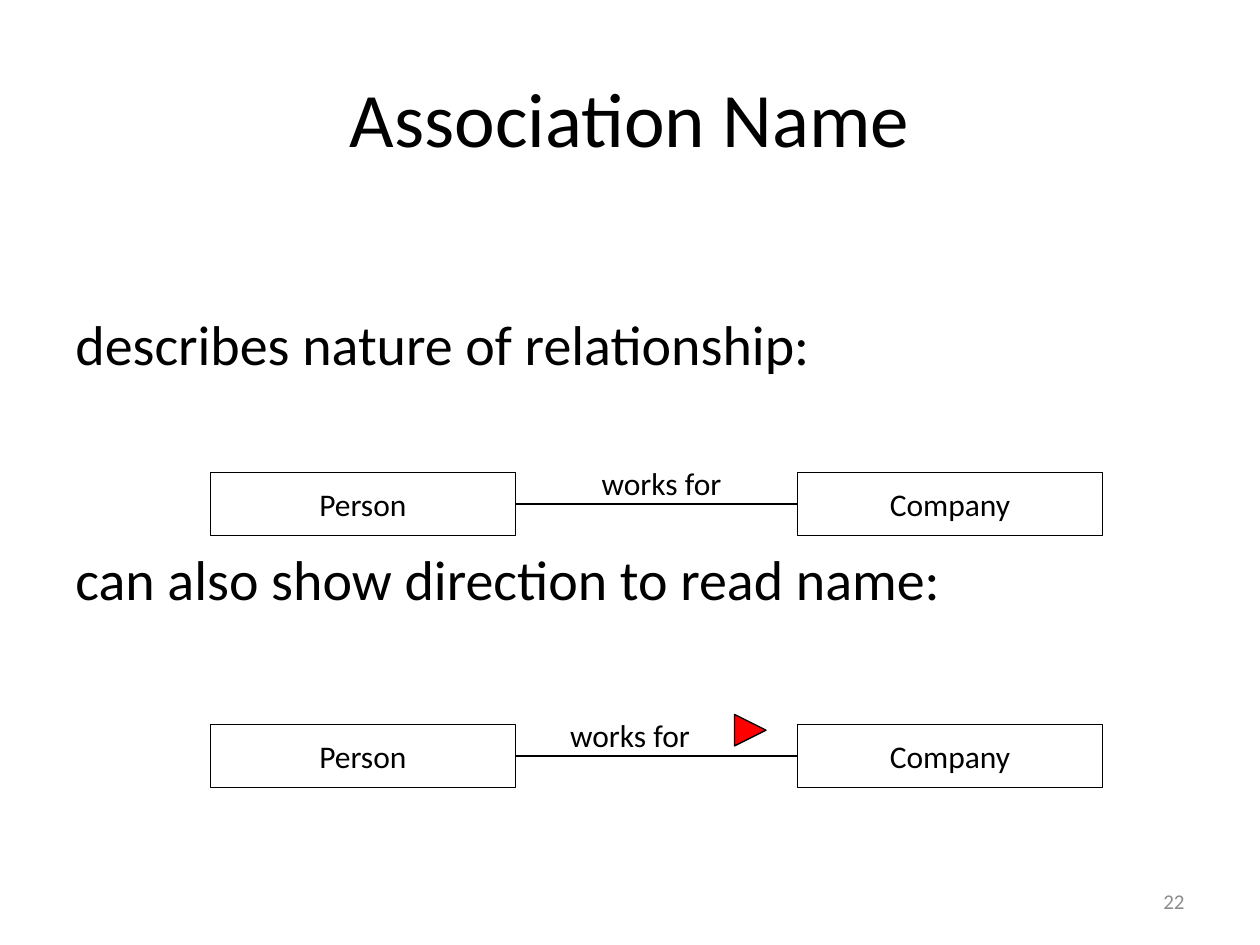
from dataclasses import dataclass

from lxml import etree
from pptx import Presentation
from pptx.dml.color import RGBColor
from pptx.enum.shapes import MSO_CONNECTOR as Connector, MSO_SHAPE as Shape
from pptx.enum.text import MSO_ANCHOR as Anchor, PP_ALIGN as Align
from pptx.oxml.ns import qn
from pptx.util import Inches, Pt


@dataclass(frozen=True)
class Theme:
    font: str = "Calibri"
    black: RGBColor = RGBColor(0, 0, 0)
    white: RGBColor = RGBColor(255, 255, 255)
    grey: RGBColor = RGBColor(0x8C, 0x8C, 0x8C)
    red: RGBColor = RGBColor(255, 0, 0)
    title: Pt = Pt(44)
    body: Pt = Pt(32)
    label: Pt = Pt(18)
    number: Pt = Pt(12)
    line: Pt = Pt(0.75)


theme = Theme()
deck = Presentation()
deck.slide_width, deck.slide_height = Inches(10), Inches(7.5)
page = deck.slides.add_slide(deck.slide_layouts[6])


def write(shape, text, size, align=Align.CENTER, color=theme.black, wrap=True):
    frame = shape.text_frame
    frame.text = text
    frame.word_wrap = wrap
    frame.vertical_anchor = Anchor.MIDDLE
    para = frame.paragraphs[0]
    para.alignment = align
    font = para.runs[0].font
    font.name, font.size, font.color.rgb = theme.font, size, color


def add_outlined(kind, left, top, width, height, fill):
    shape = page.shapes.add_shape(
        kind, Inches(left), Inches(top), Inches(width), Inches(height))
    shape.shadow.inherit = False
    shape.fill.solid()
    shape.fill.fore_color.rgb = fill
    shape.line.color.rgb = theme.black
    shape.line.width = theme.line
    return shape


texts = [
    ("22", 7.17, 6.95, 2.33, 0.4, theme.number, Align.RIGHT, theme.grey),
    ("Association Name", 0.5, 0.3, 9, 1.25, theme.title, Align.CENTER, theme.black),
    ("describes nature of relationship:", 0.5, 2.4, 9, 0.64,
     theme.body, Align.LEFT, theme.black),
    ("can also show direction to read name:", 0.5, 4.27, 9, 0.64,
     theme.body, Align.LEFT, theme.black),
]
for text, left, top, width, height, size, align, color in texts:
    box = page.shapes.add_textbox(
        Inches(left), Inches(top), Inches(width), Inches(height))
    write(box, text, size, align, color)

# Each association: top of its class boxes and left edge of its name
for top, name_left in [(3.75, 4.5), (5.75, 4.25)]:
    company = add_outlined(Shape.RECTANGLE, 6.33, top, 2.42, 0.5, theme.white)
    write(company, "Company", theme.label, wrap=False)
    person = add_outlined(Shape.RECTANGLE, 1.67, top, 2.42, 0.5, theme.white)
    write(person, "Person", theme.label, wrap=False)

    association = page.shapes.add_connector(Connector.STRAIGHT, 0, 0, 0, 0)
    association.begin_connect(person, 3)
    association.end_connect(company, 1)
    association.line.color.rgb = theme.black
    association.line.width = theme.line
    etree.SubElement(association._element.spPr, qn("a:effectLst"))

    name = page.shapes.add_textbox(
        Inches(name_left), Inches(top - 0.17), Inches(1.5), Inches(0.5))
    write(name, "works for", theme.label)

direction = add_outlined(Shape.ISOSCELES_TRIANGLE, 5.83, 5.67, 0.25, 0.25, theme.red)
direction.rotation = 90

deck.save("out.pptx")
